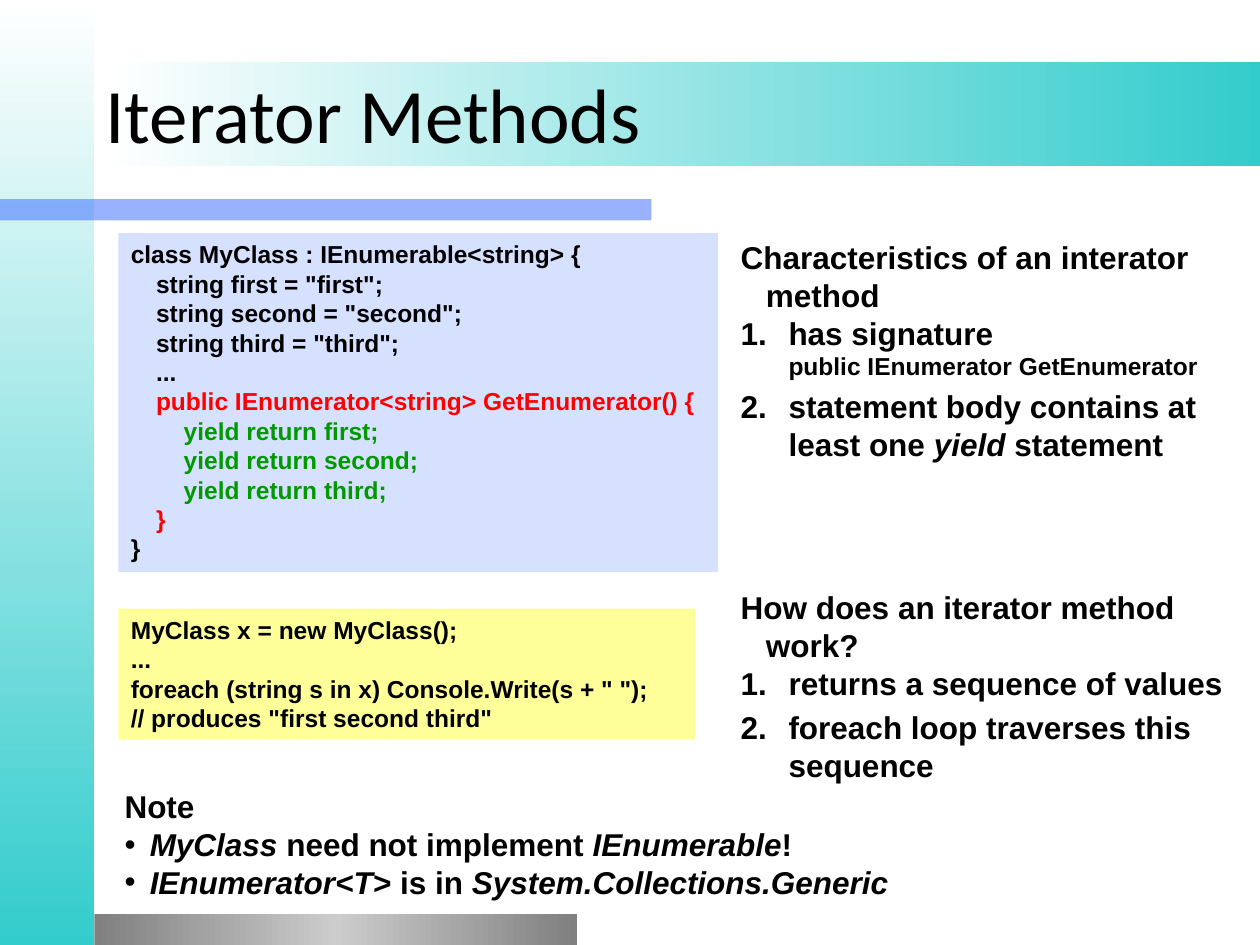
from lxml import etree
from pptx import Presentation
from pptx.dml.color import RGBColor
from pptx.enum import shapes, text
from pptx.oxml.ns import qn
from pptx.util import Inches, Pt

BLACK, WHITE, TEAL = "000000", "FFFFFF", "33CCCC"
RED, GREEN = "FF0000", "009900"
CODE_TABS = (0.2, 0.42, 0.62)

CLASS_CODE = [
    ("class MyClass : IEnumerable<string> {", BLACK),
    ('\tstring first = "first";', BLACK),
    ('\tstring second = "second";', BLACK),
    ('\tstring third = "third";', BLACK),
    ("\t...", BLACK),
    ("\tpublic IEnumerator<string> GetEnumerator() {", RED),
    ("\t\tyield return first;", GREEN),
    ("\t\tyield return second;", GREEN),
    ("\t\tyield return third;", GREEN),
    ("\t}", RED),
    ("}", BLACK),
]
USAGE_CODE = [
    ("MyClass x = new MyClass();", BLACK),
    ("...", BLACK),
    ('foreach (string s in x) Console.Write(s + " ");', BLACK),
    ('// produces "first second third"', BLACK),
]


def rgb(value):
    """Turn a hex string into a colour."""
    return RGBColor.from_string(value)


def style(run, size, color=BLACK, name="Arial", bold=True, italic=False):
    """Format one run."""
    font = run.font
    font.name, font.size, font.bold, font.italic = name, Pt(size), bold, italic
    font.color.rgb = rgb(color)


def add_child(parent, tag, **attributes):
    """Append a DrawingML element to its parent."""
    child = etree.SubElement(parent, qn(tag))
    for key, value in attributes.items():
        child.set(key, str(value))
    return child


def add_bar(slide, box, color=WHITE):
    """Draw a plain rectangle without line or shadow."""
    shape = slide.shapes.add_shape(shapes.MSO_SHAPE.RECTANGLE, *map(Inches, box))
    shape.shadow.inherit = False
    shape.line.fill.background()
    shape.fill.solid()
    shape.fill.fore_color.rgb = rgb(color)
    return shape


def add_gradient_bar(slide, box, colors, angle=0):
    """Draw a bar with evenly spaced gradient colours."""
    fill = add_bar(slide, box).fill
    fill.gradient()
    fill.gradient_angle = angle
    stops = fill.gradient_stops[0]._gs.getparent()
    for stop in list(stops):
        stops.remove(stop)
    for index, color in enumerate(colors):
        position = 100000 * index // (len(colors) - 1)
        add_child(add_child(stops, "a:gs", pos=position), "a:srgbClr", val=color)


def add_background(slide):
    """Draw the coloured bars behind the content."""
    add_gradient_bar(slide, (0, 0, 0.75, 7.5), (WHITE, TEAL), 270)
    accent = add_bar(slide, (0, 1.58, 5.17, 0.17), "3366FF")
    color = accent.fill._xPr.find(".//" + qn("a:srgbClr"))
    add_child(color, "a:alpha", val=50000)
    add_gradient_bar(slide, (0.75, 7.25, 3.83, 0.25), ("808080", "CCCCCC", "808080"))
    add_gradient_bar(slide, (0.84, 0.49, 9.16, 0.83), (WHITE, TEAL))


def add_text_frame(slide, box):
    """Add a wrapping text box and return its frame."""
    frame = slide.shapes.add_textbox(*map(Inches, box)).text_frame
    frame.word_wrap = True
    return frame


def add_title(slide, box, title):
    """Place the slide title."""
    frame = add_text_frame(slide, box)
    frame.vertical_anchor = text.MSO_ANCHOR.MIDDLE
    frame.text = title
    style(frame.paragraphs[0].runs[0], 44, name="Calibri", bold=False)


def add_code(slide, box, fill, lines):
    """Place a code listing with one coloured paragraph per line."""
    frame = add_bar(slide, box, fill).text_frame
    frame.word_wrap = True
    frame.vertical_anchor = text.MSO_ANCHOR.TOP
    frame.text = "\n".join(line for line, _ in lines)
    for paragraph, (_, color) in zip(frame.paragraphs, lines):
        paragraph.alignment = text.PP_ALIGN.LEFT
        tabs = add_child(paragraph._p.get_or_add_pPr(), "a:tabLst")
        for position in CODE_TABS:
            add_child(tabs, "a:tab", pos=Inches(position), algn="l")
        for run in paragraph.runs:
            style(run, 14, color)


def set_indent(paragraph, indent, spaced=False):
    """Set a hanging indent and optional space before."""
    properties = paragraph._p.get_or_add_pPr()
    properties.set("marL", str(Inches(indent)))
    properties.set("indent", str(-Inches(indent)))
    if spaced:
        add_child(add_child(properties, "a:spcBef"), "a:spcPct", val=20000)
    return properties


def add_list(slide, box, heading, items, numbered=True):
    """Place a heading with list items whose odd segments are italic."""
    frame = add_text_frame(slide, box)
    frame.text = heading
    set_indent(frame.paragraphs[0], 0.2)
    style(frame.paragraphs[0].runs[0], 18)
    for index, segments in enumerate(items):
        paragraph = frame.add_paragraph()
        if numbered:
            properties = set_indent(paragraph, 0.38, index > 0)
            add_child(properties, "a:buFont", typeface="+mj-lt")
            add_child(properties, "a:buAutoNum", type="arabicPeriod")
        else:
            properties = set_indent(paragraph, 0.2)
            add_child(properties, "a:buFont", typeface="Arial")
            add_child(properties, "a:buChar", char="•")
        for position, segment in enumerate(segments):
            if segment:
                run = paragraph.add_run()
                run.text = segment
                style(run, 18, italic=position % 2 == 1)
    return frame


def add_signature(paragraph, signature):
    """Add a smaller second line to a list item."""
    paragraph.add_line_break()
    run = paragraph.add_run()
    run.text = signature
    style(run, 14)


def main():
    """Build and save the slide."""
    presentation = Presentation()
    presentation.slide_width, presentation.slide_height = Inches(10), Inches(7.5)
    slide = presentation.slides.add_slide(presentation.slide_layouts[6])
    add_background(slide)
    add_title(slide, (0.74, 0.27, 8.5, 1.25), "Iterator Methods")
    add_code(slide, (0.94, 1.85, 4.76, 2.69), "D6E0FF", CLASS_CODE)
    traits = add_list(
        slide, (5.78, 1.84, 4.22, 1.91), "Characteristics of an interator method",
        [["has signature"],
         ["statement body contains at least one ", "yield", " statement"]])
    add_signature(traits.paragraphs[1], "public IEnumerator GetEnumerator")
    add_code(slide, (0.94, 4.83, 4.58, 1.04), "FFFF99", USAGE_CODE)
    add_list(
        slide, (5.78, 4.62, 4.22, 1.68), "How does an iterator method work?",
        [["returns a sequence of values"], ["foreach loop traverses this sequence"]])
    add_list(
        slide, (0.89, 6.2, 8.92, 1.01), "Note",
        [["", "MyClass", " need not implement ", "IEnumerable", "!"],
         ["", "IEnumerator<T>", " is in ", "System.Collections.Generic"]],
        numbered=False)
    presentation.save("out.pptx")


if __name__ == "__main__":
    main()
